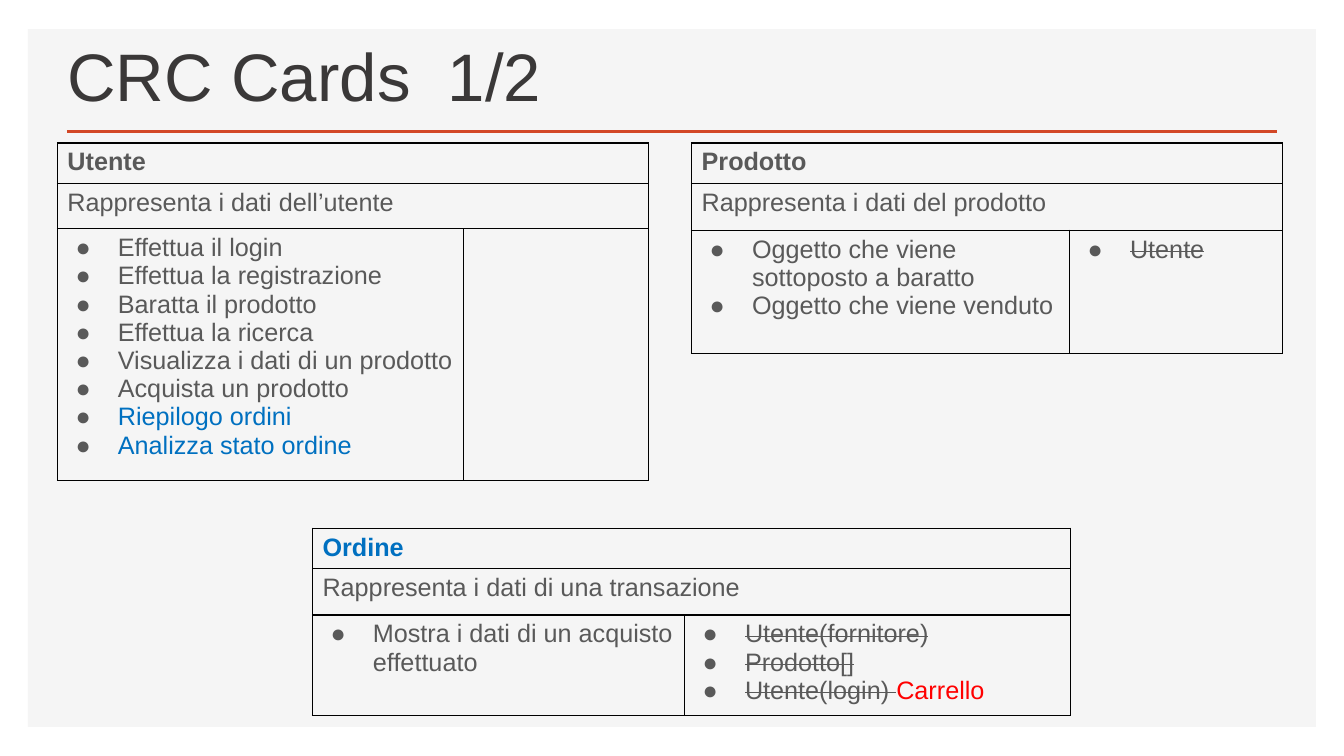
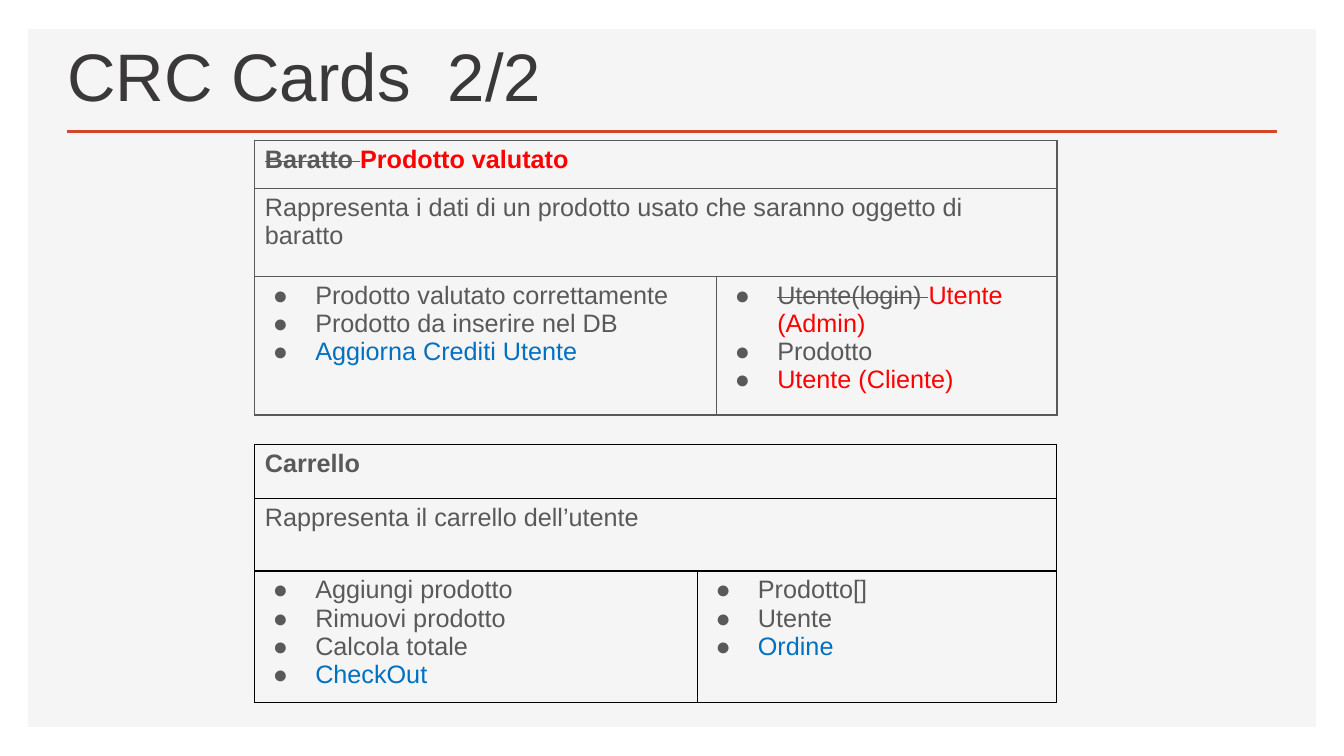
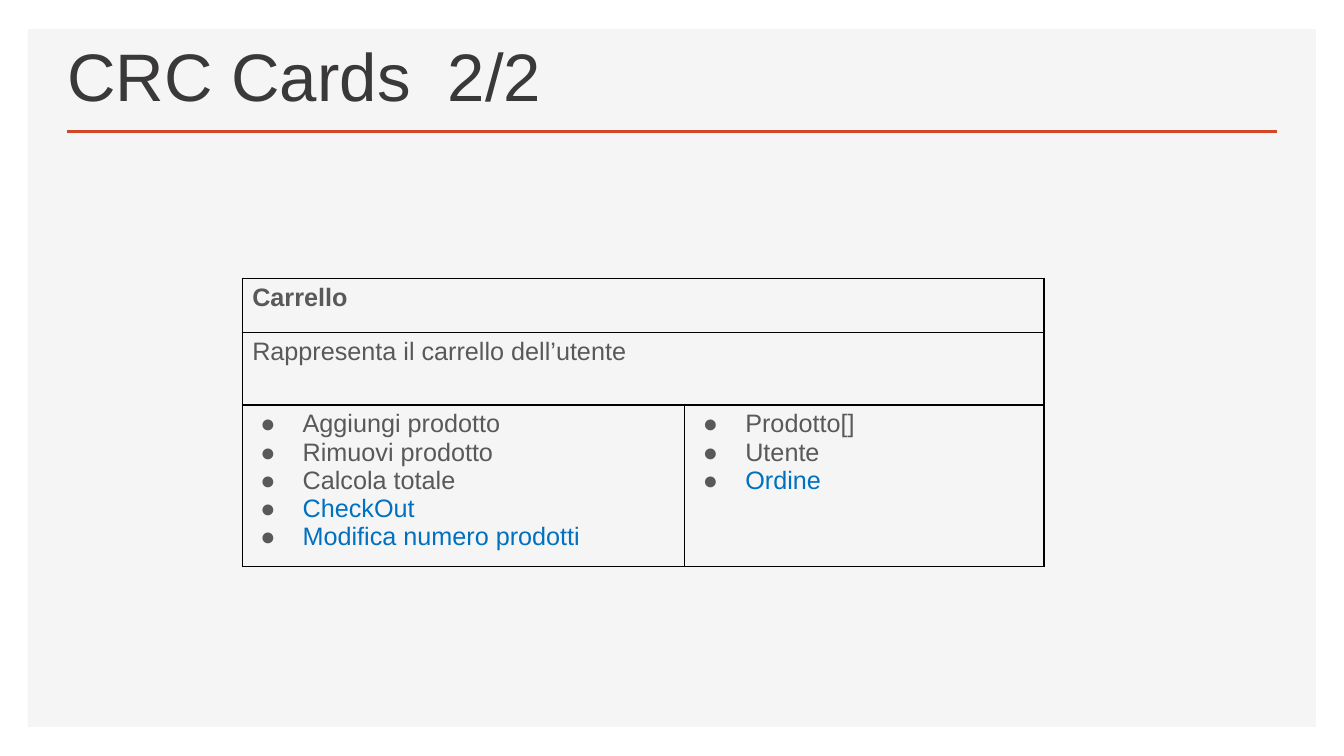
from dataclasses import dataclass, replace

from lxml.etree import SubElement
from pptx import Presentation
from pptx.dml.color import RGBColor
from pptx.enum.shapes import MSO_CONNECTOR, MSO_SHAPE
from pptx.enum.text import MSO_ANCHOR
from pptx.oxml.ns import qn
from pptx.util import Pt


@dataclass(frozen=True)
class Theme:
    font: str = "Arial"
    title_size: int = 48
    body_size: int = 18
    title: str = "3A3838"
    text: str = "595959"
    added: str = "0070C0"
    changed: str = "FF0000"
    accent: str = "D24726"
    panel: str = "F5F5F5"
    border: str = "000000"


@dataclass(frozen=True)
class Card:
    """A text is a string or a list of (words, mark) pairs."""
    name: object
    description: str
    duties: tuple
    partners: tuple = ()


@dataclass(frozen=True)
class Box:
    left: float
    top: float
    width: float
    height: float


THEME = Theme()
PAGE = Box(0, 0, 960, 540)
MARK_COLORS = {"added": THEME.added, "changed": THEME.changed}


# Text
def add_run(paragraph, words, color, size, bold=False, struck=False):
    run = paragraph.add_run()
    run.text = words
    values = {"name": THEME.font, "size": Pt(size), "bold": bold}
    for attribute, value in values.items():
        setattr(run.font, attribute, value)
    run.font.color.rgb = RGBColor.from_string(color)
    if struck:
        run._r.get_or_add_rPr().set("strike", "sngStrike")


def write_text(paragraph, text, bold=False):
    pieces = [(text, "")] if isinstance(text, str) else text
    for words, mark in pieces:
        color = MARK_COLORS.get(mark, THEME.text)
        add_run(paragraph, words, color, THEME.body_size, bold, mark == "struck")


def add_bullet(paragraph):
    properties = paragraph._p.get_or_add_pPr()
    properties.set("marL", str(Pt(36)))
    properties.set("indent", str(-Pt(30.24)))
    color = SubElement(properties, qn("a:buClr"))
    SubElement(color, qn("a:srgbClr"), val=THEME.text)
    SubElement(properties, qn("a:buFont"), typeface=THEME.font)
    SubElement(properties, qn("a:buChar"), char="●")


def write_list(cell, items):
    for index, item in enumerate(items):
        frame = cell.text_frame
        paragraph = frame.add_paragraph() if index else frame.paragraphs[0]
        add_bullet(paragraph)
        write_text(paragraph, item)


# Panel, title and rule shared by all slides
def add_frame(slide, box, title):
    panel = slide.shapes.add_shape(
        MSO_SHAPE.RECTANGLE, Pt(box.left + 20), Pt(box.top + 20.8),
        Pt(box.width - 40), Pt(box.height - 41.5))
    panel.shadow.inherit = False
    panel.fill.solid()
    panel.fill.fore_color.rgb = RGBColor.from_string(THEME.panel)
    panel.line.fill.background()

    rule_top = Pt(box.top + 94)
    rule = slide.shapes.add_connector(
        MSO_CONNECTOR.STRAIGHT, Pt(box.left + 47.8), rule_top,
        Pt(box.left + box.width - 47.8), rule_top)
    rule.line.width = Pt(2)
    rule.line.color.rgb = RGBColor.from_string(THEME.accent)
    SubElement(rule._element.spPr, qn("a:effectLst"))

    heading = slide.shapes.add_textbox(
        Pt(box.left + 41), Pt(box.top + 35.3), Pt(541.5), Pt(50.4))
    frame = heading.text_frame
    frame.word_wrap = True
    frame.vertical_anchor = MSO_ANCHOR.BOTTOM
    add_run(frame.paragraphs[0], title, THEME.title, THEME.title_size)


# One CRC card: name, description, then duties beside partners
def style_cell(cell, border):
    properties = cell._tc.get_or_add_tcPr()
    for side in ("lnL", "lnR", "lnT", "lnB"):
        line = SubElement(properties, qn(f"a:{side}"), w=str(Pt(1)))
        fill = SubElement(line, qn("a:solidFill"))
        SubElement(fill, qn("a:srgbClr"), val=border)
    cell.fill.background()


def add_card(slide, card, left, top, columns, rows, border=THEME.border):
    table = slide.shapes.add_table(
        3, 2, Pt(left), Pt(top), Pt(sum(columns)), Pt(sum(rows))).table
    table.first_row = table.horz_banding = False
    for column, width in zip(table.columns, columns):
        column.width = Pt(width)
    for row, height in zip(table.rows, rows):
        row.height = Pt(height)
    for cell in table.iter_cells():
        style_cell(cell, border)
    for index, text in enumerate((card.name, card.description)):
        cell = table.cell(index, 0)
        cell.merge(table.cell(index, 1))
        write_text(cell.text_frame.paragraphs[0], text, bold=index == 0)
    write_list(table.cell(2, 0), card.duties)
    write_list(table.cell(2, 1), card.partners)


# Card contents
USER = Card(
    "Utente", "Rappresenta i dati dell’utente",
    ("Effettua il login", "Effettua la registrazione", "Baratta il prodotto",
     "Effettua la ricerca", "Visualizza i dati di un prodotto",
     "Acquista un prodotto", [("Riepilogo ordini", "added")],
     [("Analizza stato ordine", "added")]))
PRODUCT = Card(
    "Prodotto", "Rappresenta i dati del prodotto",
    ("Oggetto che viene sottoposto a baratto", "Oggetto che viene venduto"),
    ([("Utente", "struck")],))
ORDER = Card(
    [("Ordine", "added")], "Rappresenta i dati di una transazione",
    ("Mostra i dati di un acquisto effettuato",),
    ([("Utente(fornitore)", "struck")], [("Prodotto[]", "struck")],
     [("Utente(login) ", "struck"), ("Carrello", "changed")]))
BARTER = Card(
    [("Baratto ", "struck"), ("Prodotto valutato", "changed")],
    "Rappresenta i dati di un prodotto usato che saranno oggetto di baratto",
    ("Prodotto valutato correttamente", "Prodotto da inserire nel DB",
     [("Aggiorna Crediti Utente", "added")]),
    ([("Utente(login) ", "struck"), ("Utente (Admin)", "changed")],
     "Prodotto", [("Utente (Cliente)", "changed")]))
CART = Card(
    "Carrello", "Rappresenta il carrello dell’utente",
    ("Aggiungi prodotto", "Rimuovi prodotto", "Calcola totale",
     [("CheckOut", "added")]),
    ("Prodotto[]", "Utente", [("Ordine", "added")]))
FULL_CART = replace(
    CART, duties=CART.duties + ([("Modifica numero prodotti", "added")],))

CART_COLUMNS = (316.2, 256.6)

# Title, then for each card: left, top, column widths, row heights, border
SLIDES = (
    ("CRC Cards  1/2", (
        (USER, 41, 102.2, (290.2, 132), (28.1, 32.4, 177.1)),
        (PRODUCT, 494, 102.2, (270, 152), (27.5, 33.4, 88)),
        (ORDER, 223.2, 377.3, (265.8, 275.7), (27.5, 33.2, 68)))),
    ("CRC Cards  2/2", (
        (BARTER, 182, 100.2, (330, 243), (34.5, 62.7, 99), THEME.text),
        (CART, 182, 317.5, CART_COLUMNS, (38.4, 52, 88)))),
    ("CRC Cards  2/2", (
        (FULL_CART, 173, 198.9, CART_COLUMNS, (38.4, 52, 108)),)),
)


def main():
    presentation = Presentation()
    presentation.slide_width = Pt(PAGE.width)
    presentation.slide_height = Pt(PAGE.height)
    for title, cards in SLIDES:
        slide = presentation.slides.add_slide(presentation.slide_layouts[6])
        add_frame(slide, PAGE, title)
        for card in cards:
            add_card(slide, *card)
    presentation.save("out.pptx")


if __name__ == "__main__":
    main()
